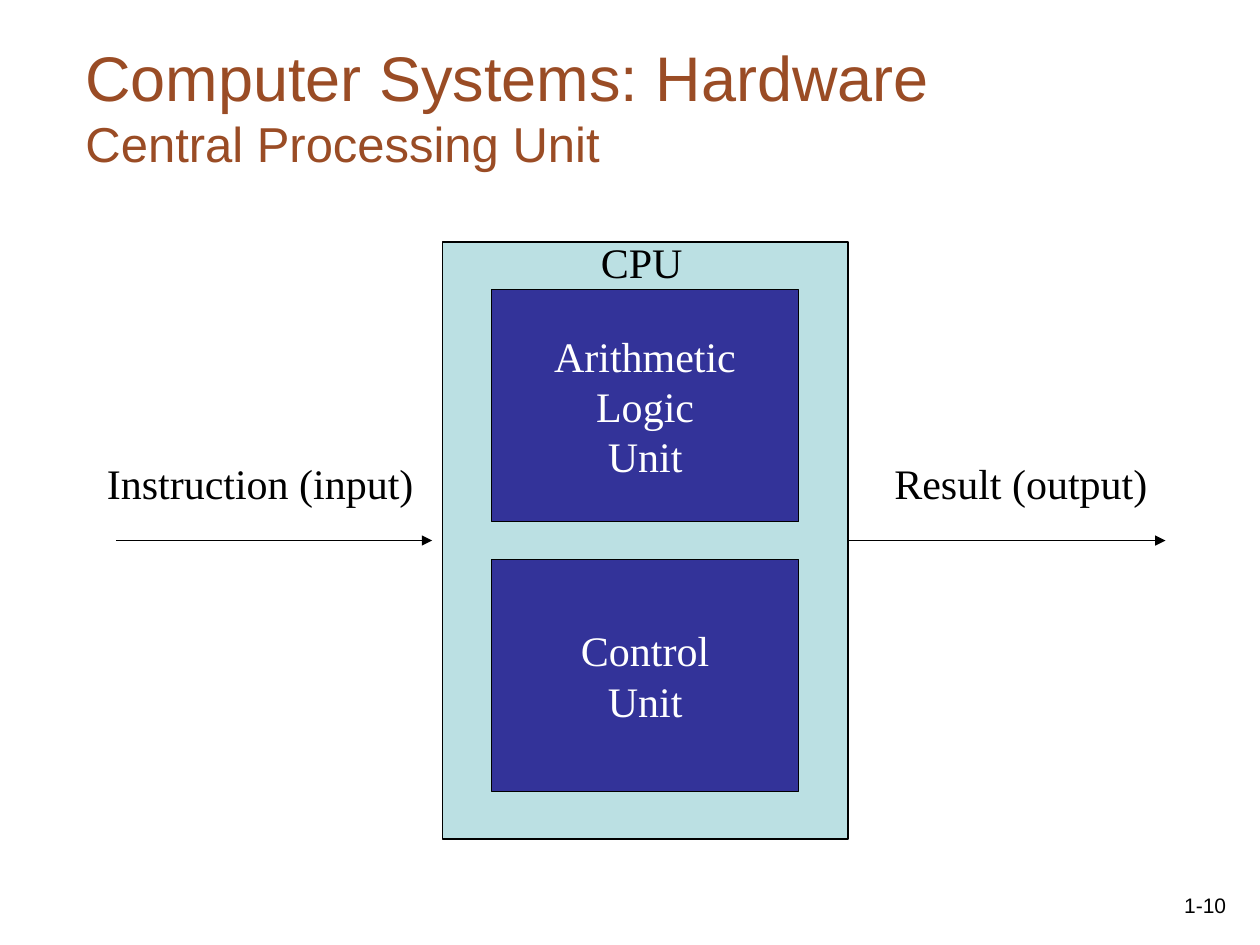
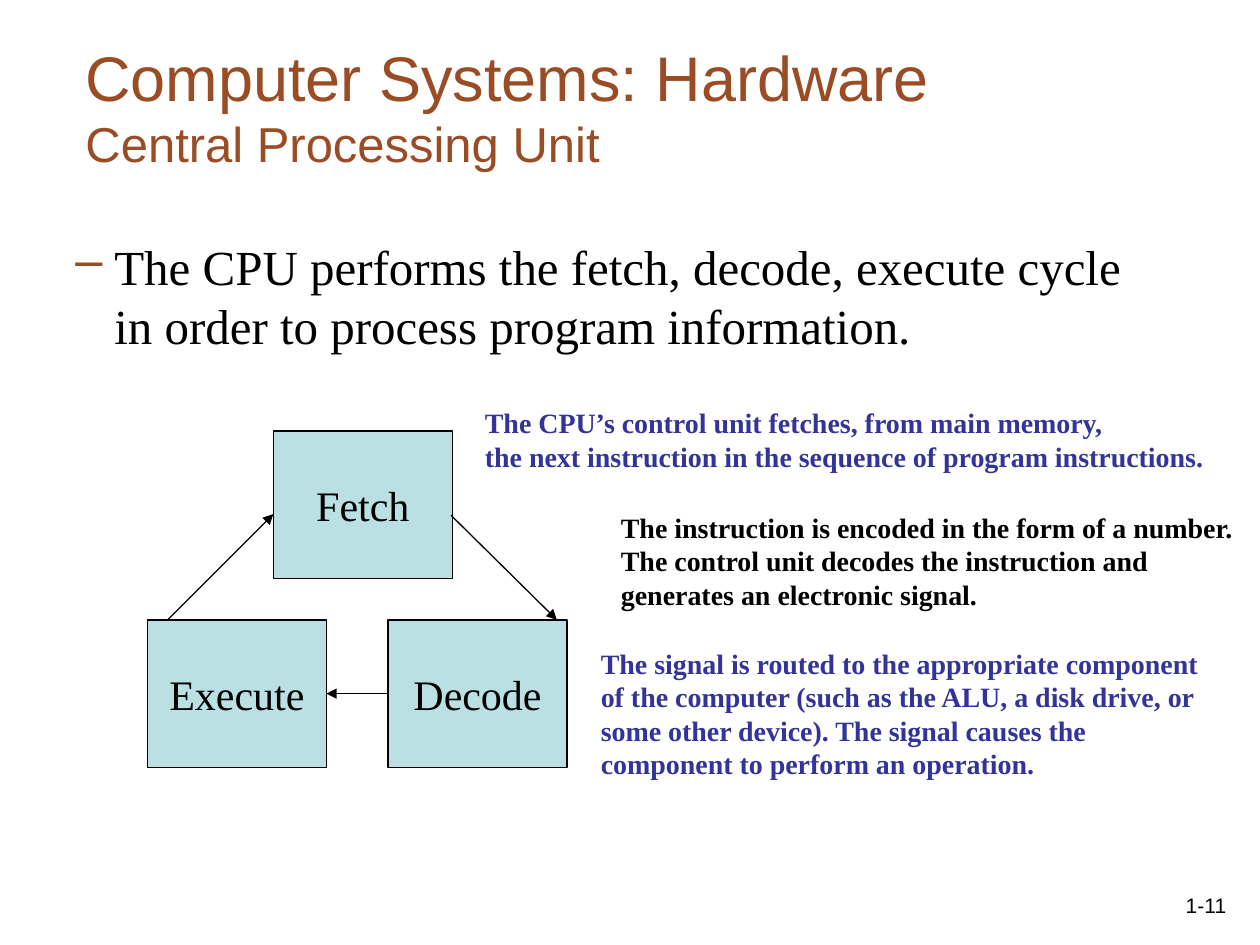
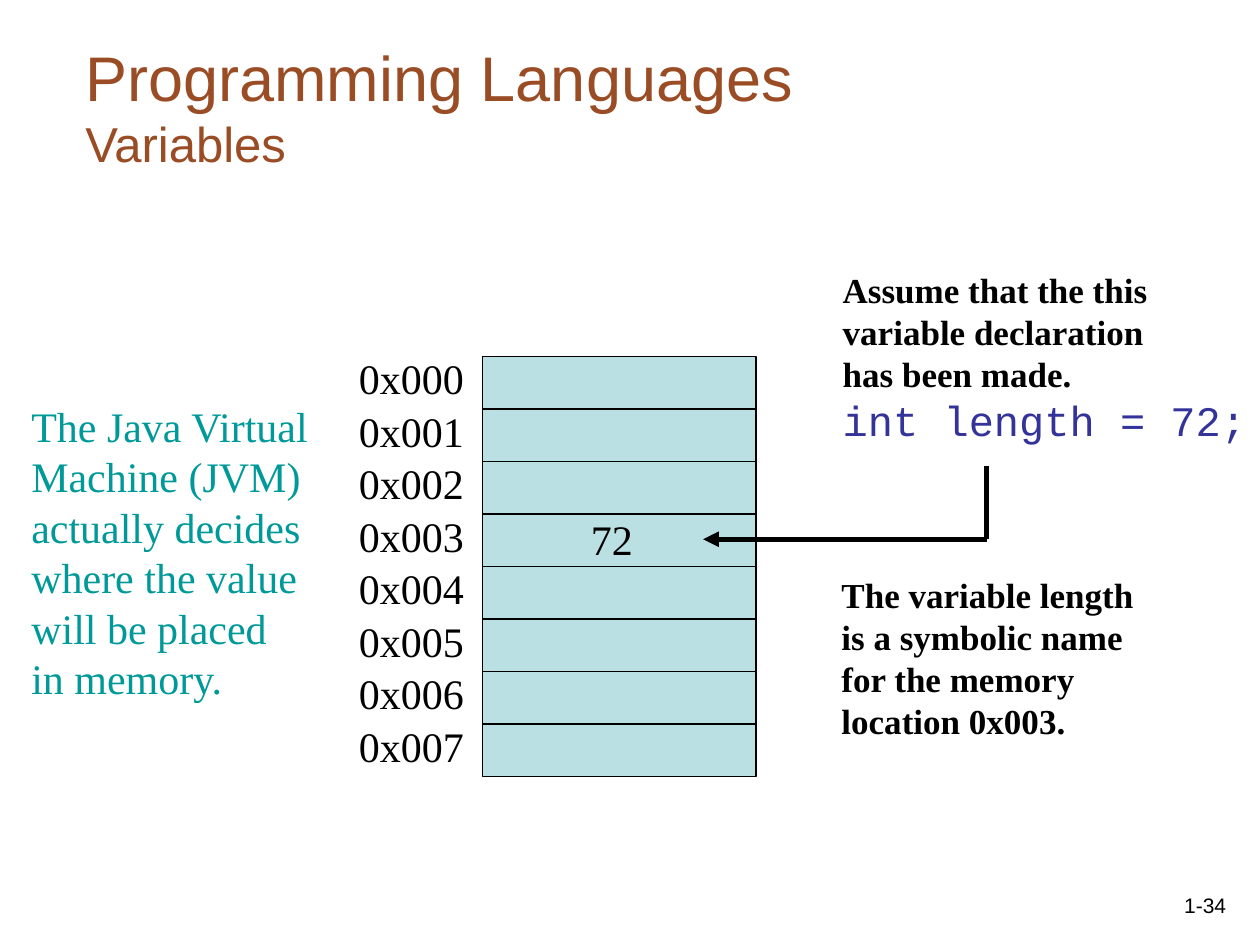
from lxml.etree import SubElement
from pptx import Presentation
from pptx.dml.color import RGBColor
from pptx.enum.shapes import MSO_CONNECTOR, MSO_SHAPE
from pptx.enum.text import MSO_ANCHOR, PP_ALIGN
from pptx.oxml.ns import qn
from pptx.util import Inches, Pt

COLORS = {
    "title": "9A4C25",
    "text": "000000",
    "pale": "BBE0E3",
    "indigo": "333399",
    "teal": "009999",
    "white": "FFFFFF",
}
SERIF, SANS, MONO = "Times New Roman", "Arial", "Courier New"

HARDWARE = ("Computer Systems: Hardware", "Central Processing Unit")
VARIABLES = ("Programming Languages", "Variables")

CPU_UNITS = ["Arithmetic\vLogic\vUnit", "Control\nUnit"]
CPU_FLOWS = [("Instruction (input)", 0.75, 2.7), ("Result (output)", 7, 2.3)]

CYCLE_INTRO = ("The CPU performs the fetch, decode, execute cycle "
               "in order to process program information.")
CYCLE_STEPS = {"Fetch": (2.17, 3.42), "Decode": (3.08, 4.92), "Execute": (1.17, 4.92)}
CYCLE_NOTES = [
    ("The CPU’s control unit fetches, from main memory,\v"
     "the next instruction in the sequence of program instructions.",
     (3.75, 3.17, 6.25, 0.64), "indigo"),
    ("The instruction is encoded in the form of a number. The control unit "
     "decodes the instruction and generates an electronic signal.",
     (4.83, 4, 5.17, 0.9), "text"),
    ("The signal is routed to the appropriate component of the computer "
     "(such as the ALU, a disk drive, or some other device). The signal "
     "causes the component to perform an operation.",
     (4.67, 5.08, 5.1, 1.17), "indigo"),
]

MEMORY_CELLS = 8
JVM_NOTE = ("The Java Virtual\nMachine (JVM)\nactually decides\n"
            "where the value\nwill be placed\nin memory.")
DECLARATION_NOTE = ("Assume that the this\nvariable declaration\nhas been made.\n"
                    "int length = 72;")
NAME_NOTE = ("The variable length\nis a symbolic name\nfor the memory\n"
             "location 0x003.")


def rgb(color):
    return RGBColor.from_string(COLORS[color])


def style_run(run, size, color="text", font=SERIF, bold=False):
    run.font.size = Pt(size)
    run.font.name = font
    run.font.bold = bold
    run.font.color.rgb = rgb(color)


def write(shape, text, size=24, color="text", font=SERIF, bold=False,
          align=PP_ALIGN.LEFT, anchor=MSO_ANCHOR.TOP, wrap=False):
    frame = shape.text_frame
    frame.text = text
    frame.word_wrap = wrap
    frame.vertical_anchor = anchor
    for paragraph in frame.paragraphs:
        paragraph.alignment = align
        for run in paragraph.runs:
            style_run(run, size, color, font, bold)
    return frame


def add_text(slide, text, place, **style):
    return write(slide.shapes.add_textbox(*map(Inches, place)), text, **style)


def add_box(slide, place, fill="pale", text="", color="text"):
    box = slide.shapes.add_shape(MSO_SHAPE.RECTANGLE, *map(Inches, place))
    box.shadow.inherit = False
    box.fill.solid()
    box.fill.fore_color.rgb = rgb(fill)
    box.line.color.rgb = rgb("text")
    box.line.width = Pt(0.75)
    if text:
        write(box, text, color=color, align=PP_ALIGN.CENTER, anchor=MSO_ANCHOR.MIDDLE)
    return box


def add_line(slide, start, end, width=0.75, arrow=True):
    line = slide.shapes.add_connector(MSO_CONNECTOR.STRAIGHT, *map(Inches, start + end))
    line.line.color.rgb = rgb("text")
    line.line.width = Pt(width)
    properties = line._element.spPr
    if arrow:
        SubElement(properties.find(qn("a:ln")), qn("a:tailEnd"), type="triangle")
    SubElement(properties, qn("a:effectLst"))
    return line


def add_dash_bullet(paragraph):
    properties = paragraph._p.get_or_add_pPr()
    properties.set("marL", str(Inches(0.81)))
    properties.set("indent", str(-Inches(0.31)))
    bullet_color = SubElement(properties, qn("a:buClr"))
    SubElement(bullet_color, qn("a:srgbClr"), val=COLORS["title"])
    SubElement(properties, qn("a:buChar"), char="–")


def new_slide(prs, heading, number):
    """Add a blank slide with the shared two-line title and page number."""
    slide = prs.slides.add_slide(prs.slide_layouts[6])
    title = add_text(slide, "\v".join(heading), (0.58, 0.33, 9.42, 1.09), size=36,
                     color="title", font=SANS, anchor=MSO_ANCHOR.BOTTOM, wrap=True)
    title.paragraphs[0].runs[1].font.size = Pt(28)
    add_text(slide, number, (7.75, 6.83, 2.08, 0.5), size=12, font=SANS,
             align=PP_ALIGN.RIGHT, anchor=MSO_ANCHOR.BOTTOM, wrap=True)
    return slide


def build_cpu(prs):
    slide = new_slide(prs, HARDWARE, "1-10")
    for label, left, width in CPU_FLOWS:
        add_text(slide, label, (left, 3.58, width, 0.5))
    cpu = add_box(slide, (3.51, 1.92, 3.22, 4.74))
    for i, unit in enumerate(CPU_UNITS):
        add_box(slide, (3.9, 2.3 + i * 2.14, 2.44, 1.84), "indigo", unit, "white")
    add_line(slide, (0.92, 4.29), (3.43, 4.29))
    result = add_line(slide, (6.73, 4.29), (9.25, 4.29))
    result.begin_connect(cpu, 3)
    add_text(slide, "CPU", (4.67, 1.83, 0.85, 0.5), wrap=True)


def build_cycle(prs):
    slide = new_slide(prs, HARDWARE, "1-11")
    intro = add_text(slide, CYCLE_INTRO, (0, 1.83, 9.07, 5), size=28, wrap=True)
    intro.margin_right = 0
    intro.paragraphs[0].space_before = Pt(7)
    add_dash_bullet(intro.paragraphs[0])
    steps = {name: add_box(slide, corner + (1.42, 1.17), text=name)
             for name, corner in CYCLE_STEPS.items()}
    add_line(slide, (3.58, 4.09), (4.42, 4.92))
    add_line(slide, (1.33, 4.92), (2.17, 4.08))
    decode_to_execute = add_line(slide, (3.08, 5.5), (2.58, 5.5))
    decode_to_execute.begin_connect(steps["Decode"], 1)
    decode_to_execute.end_connect(steps["Execute"], 3)
    for note, place, color in CYCLE_NOTES:
        add_text(slide, note, place, size=16, color=color, bold=True, wrap=True)


def build_memory(prs):
    slide = new_slide(prs, VARIABLES, "1-34")
    row_height = 5 / 12
    for address in range(MEMORY_CELLS):
        offset = address * row_height
        add_box(slide, (3.83, 2.83 + offset, 2.17, row_height))
        add_text(slide, f"0x{address:03}", (2.75, 2.75 + offset, 1.05, 0.5))
    add_text(slide, JVM_NOTE, (0.15, 3.13, 2.45, 2.5), color="teal")
    add_text(slide, "72", (4.59, 4.03, 0.55, 0.5))
    declaration = add_text(slide, DECLARATION_NOTE, (6.59, 2.08, 3.4, 1.5),
                           size=20, bold=True)
    style_run(declaration.paragraphs[-1].runs[0], 24, "indigo", MONO)
    add_text(slide, NAME_NOTE, (6.58, 4.5, 2.55, 1.44), size=20, bold=True)
    corner = (7.83, 4.28)
    add_line(slide, corner, (5.58, 4.28), width=3)
    add_line(slide, corner, (7.83, 3.7), width=3, arrow=False)


def main():
    prs = Presentation()
    prs.slide_width, prs.slide_height = Inches(10), Inches(7.5)
    build_cpu(prs)
    build_cycle(prs)
    build_memory(prs)
    prs.save("out.pptx")


if __name__ == "__main__":
    main()
